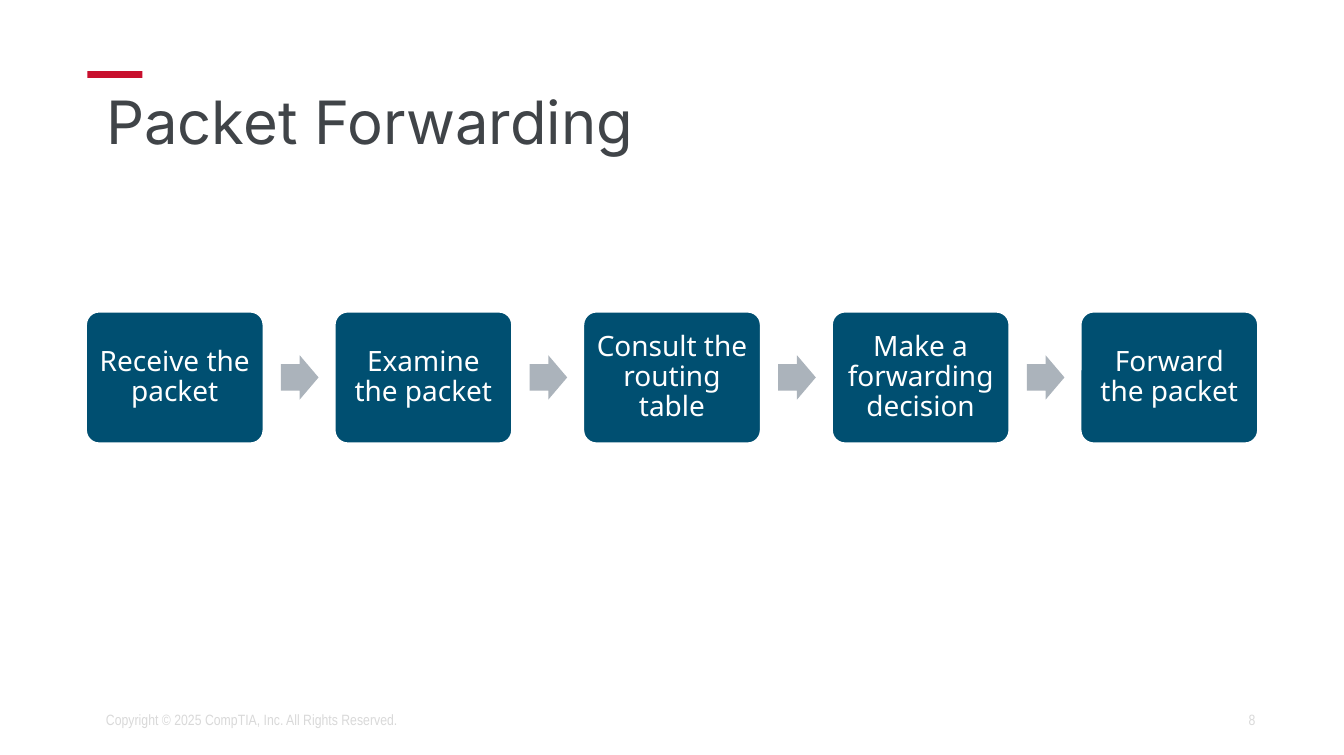
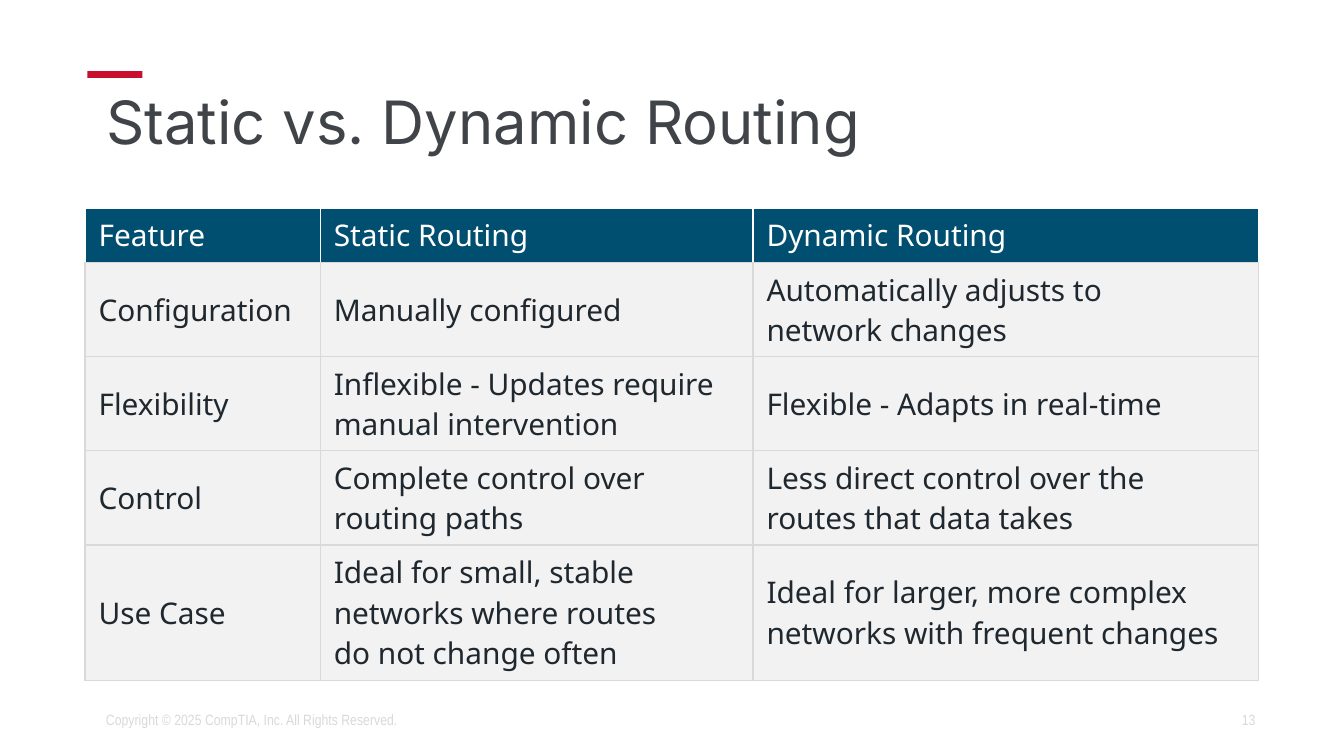
from dataclasses import dataclass

from lxml import etree
from pptx import Presentation, util as u
from pptx.dml.color import RGBColor
from pptx.enum import shapes as sh, text as tx
from pptx.oxml import ns

HUES = {
    "red": "C8102E", "navy": "004F71", "head": "004F70", "gray": "ABB3BB",
    "title": "404448", "ink": "20282F", "pale": "F2F2F2",
    "rule": "D9D9D9", "white": "FFFFFF",
}
UNIT = u.Inches(0.1)
COLS, ROWS = 100, 56.2
LEFT, MID, RIGHT = tx.PP_ALIGN.LEFT, tx.PP_ALIGN.CENTER, tx.PP_ALIGN.RIGHT


@dataclass(frozen=True)
class Box:
    col: float
    row: float
    wide: float
    high: float

    def rect(self) -> tuple:
        return tuple(round(n * UNIT) for n in (self.col, self.row, self.wide, self.high))


@dataclass(frozen=True)
class Style:
    face: str
    size: float
    hue: str
    align: tx.PP_ALIGN = LEFT
    space: float | None = None


TITLE = Style("Inter", 32, "title", space=0.9)
FOOT = Style("Arial Narrow", 8, "rule")
PAGE = Style("Arial Narrow", 8, "rule", RIGHT)
STEP = Style("Noto Sans", 15, "white", MID, 0.9)
HEAD = Style("Noto Sans", 16, "white")
CELL = Style("Noto Sans", 16, "ink")

NOTICE = "Copyright © 2025 CompTIA, Inc. All Rights Reserved."
STEPS = [
    "Receive the packet", "Examine the packet", "Consult the routing table",
    "Make a forwarding decision", "Forward the packet",
]
PITCH = 18.5
WIDTHS = [17.5, 32.2, 37.6]
HEIGHTS = [4.05, 7, 7, 7, 10.1]
FACTS = [
    ["Feature", "Static Routing", "Dynamic Routing"],
    ["Configuration", "Manually configured", "Automatically adjusts to \vnetwork changes"],
    ["Flexibility", "Inflexible - Updates require manual intervention",
     "Flexible - Adapts in real-time"],
    ["Control", "Complete control over routing paths",
     "Less direct control over the \vroutes that data takes"],
    ["Use Case", "Ideal for small, stable networks where routes \vdo not change often",
     "Ideal for larger, more complex networks with frequent changes"],
]


def tint(name: str) -> RGBColor:
    return RGBColor.from_string(HUES[name])


def write(frame, words: str, style: Style) -> None:
    frame.text = words
    for para in frame.paragraphs:
        para.alignment = style.align
        para.line_spacing = style.space
        font = para.font
        font.name, font.size = style.face, u.Pt(style.size)
        font.bold = False
        font.color.rgb = tint(style.hue)


def label(slide, box: Box, words: str, style: Style) -> None:
    frame = slide.shapes.add_textbox(*box.rect()).text_frame
    write(frame, words, style)
    frame.word_wrap = True
    frame.vertical_anchor = tx.MSO_ANCHOR.MIDDLE


def block(slide, kind: sh.MSO_SHAPE, box: Box, hue: str, *bends: float):
    shape = slide.shapes.add_shape(kind, *box.rect())
    shape.shadow.inherit = False
    shape.fill.solid()
    shape.fill.fore_color.rgb = tint(hue)
    shape.line.fill.background()
    for i, bend in enumerate(bends):
        shape.adjustments[i] = bend
    return shape


def start(deck, title: str, page: int):
    slide = deck.slides.add_slide(deck.slide_layouts[5])
    block(slide, sh.MSO_SHAPE.RECTANGLE, Box(6.5, 5.3, 4.1, 0.5), "red")
    head = slide.shapes.title
    head.left, head.top, head.width, head.height = Box(6.9, 6.4, 86.2, 6.3).rect()
    frame = head.text_frame
    write(frame, title, TITLE)
    frame.auto_size = tx.MSO_AUTO_SIZE.NONE
    frame.vertical_anchor = tx.MSO_ANCHOR.TOP
    label(slide, Box(70.6, 52.1, 23.8, 3), str(page), PAGE)
    label(slide, Box(6.9, 52.1, 43.1, 3), NOTICE, FOOT)
    return slide


def flow(slide) -> None:
    for i, words in enumerate(STEPS):
        col = 6.4 + i * PITCH
        card = block(slide, sh.MSO_SHAPE.ROUNDED_RECTANGLE,
                     Box(col, 23.2, 13.2, 9.8), "navy", 0.1)
        card.line.color.rgb = tint("white")
        card.line.width = u.Pt(1)
        frame = card.text_frame
        write(frame, words, STEP)
        frame.word_wrap = True
        frame.vertical_anchor = tx.MSO_ANCHOR.MIDDLE
        frame.margin_left = frame.margin_right = u.Inches(0.06)
        frame.margin_top = frame.margin_bottom = u.Inches(0.06)
        if i < len(STEPS) - 1:
            block(slide, sh.MSO_SHAPE.RIGHT_ARROW,
                  Box(col + 14.5, 26.45, 2.8, 3.3), "gray", 0.6, 0.5)


def edge(cell, hues: list[str]) -> None:
    props = cell._tc.get_or_add_tcPr()
    for i, (side, hue) in enumerate(zip("LRTB", hues)):
        line = etree.Element(ns.qn(f"a:ln{side}"), w=str(u.Pt(1)))
        fill = etree.SubElement(line, ns.qn("a:solidFill"))
        etree.SubElement(fill, ns.qn("a:srgbClr"), val=HUES[hue])
        props.insert(i, line)


def table(slide) -> None:
    box = Box(6.34, 15.5, sum(WIDTHS), sum(HEIGHTS))
    grid = slide.shapes.add_table(len(FACTS), len(WIDTHS), *box.rect()).table
    grid.horz_banding = False
    for col, wide in zip(grid.columns, WIDTHS):
        col.width = round(wide * UNIT)
    for r, (row, high, facts) in enumerate(zip(grid.rows, HEIGHTS, FACTS)):
        row.height = round(high * UNIT)
        top = r == 0
        for cell, words in zip(row.cells, facts):
            write(cell.text_frame, words, HEAD if top else CELL)
            cell.vertical_anchor = tx.MSO_ANCHOR.MIDDLE
            cell.fill.solid()
            cell.fill.fore_color.rgb = tint("head" if top else "pale")
            edge(cell, ["white" if top else "rule"] * 3 + ["rule"])


def main() -> None:
    deck = Presentation()
    deck.slide_width, deck.slide_height = round(COLS * UNIT), round(ROWS * UNIT)
    flow(start(deck, "Packet Forwarding", 8))
    table(start(deck, "Static vs. Dynamic Routing", 13))
    deck.save("out.pptx")


if __name__ == "__main__":
    main()
